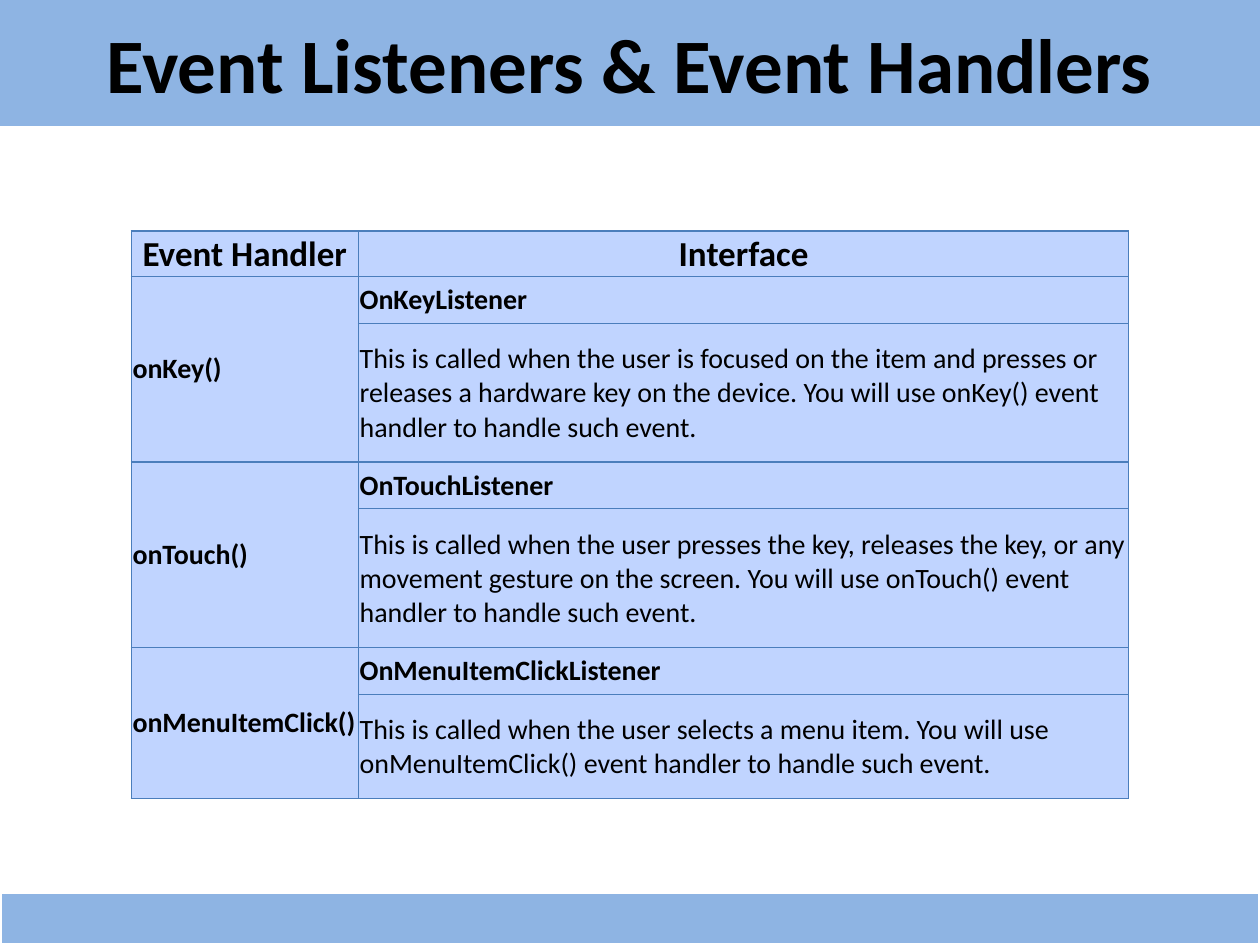
import pptx
import pptx.dml.color
import pptx.enum.shapes
import pptx.enum.text
import pptx.oxml
import pptx.oxml.ns
import pptx.util

Pt = pptx.util.Pt
ALIGN = pptx.enum.text.PP_ALIGN
MIDDLE = pptx.enum.text.MSO_ANCHOR.MIDDLE
BAND_COLOR = "8EB4E3"
CELL_COLOR = "C0D4FF"
BORDER_COLOR = "4B7EBC"


def color(hex_string):
    return pptx.dml.color.RGBColor.from_string(hex_string)


def write_text(text_frame, text, size=16, bold=False, align=ALIGN.LEFT):
    text_frame.word_wrap = True
    paragraph = text_frame.paragraphs[0]
    paragraph.alignment = align
    run = paragraph.add_run()
    run.text = text
    run.font.name = "Calibri"
    run.font.size = Pt(size)
    run.font.bold = bold
    run.font.color.rgb = color("000000")


presentation = pptx.Presentation()
presentation.slide_width = Pt(720)
presentation.slide_height = Pt(540)
slide = presentation.slides.add_slide(presentation.slide_layouts[6])

# Title and footer bands
bands = []
for top, height in [(0, 72), (510, 30)]:
    band = slide.shapes.add_shape(
        pptx.enum.shapes.MSO_SHAPE.RECTANGLE, 0, Pt(top), Pt(720), Pt(height))
    band.shadow.inherit = False
    band.fill.solid()
    band.fill.fore_color.rgb = color(BAND_COLOR)
    bands.append(band)
title, footer = bands
title.line.fill.background()
title.text_frame.vertical_anchor = MIDDLE
write_text(title.text_frame, "Event Listeners & Event Handlers",
           size=44, bold=True, align=ALIGN.CENTER)
footer.line.color.rgb = color("FFFFFF")
footer.line.width = Pt(2)

# Each handler spans two rows: its listener and the description
handlers = [
    ("onKey()", "OnKeyListener",
     "This is called when the user is focused on the item and presses or releases "
     "a hardware key on the device. You will use onKey() event handler to handle such event."),
    ("onTouch()", "OnTouchListener",
     "This is called when the user presses the key, releases the key, or any movement "
     "gesture on the screen. You will use onTouch() event handler to handle such event."),
    ("onMenuItemClick()", "OnMenuItemClickListener",
     "This is called when the user selects a menu item. You will use onMenuItemClick() "
     "event handler to handle such event."),
]
column_widths = [129.8, 440.2]
row_heights = [26, 26.4, 79.2, 26.4, 79.2, 26.4, 59.6]
table = slide.shapes.add_table(
    len(row_heights), len(column_widths), Pt(75), Pt(132),
    Pt(sum(column_widths)), Pt(sum(row_heights))).table
for column, width in zip(table.columns, column_widths):
    column.width = Pt(width)
for row, height in zip(table.rows, row_heights):
    row.height = Pt(height)

for cell in table.iter_cells():
    cell.vertical_anchor = MIDDLE
    cell.margin_left = cell.margin_right = cell.margin_top = Pt(0.75)
    cell.margin_bottom = 0
    properties = cell._tc.get_or_add_tcPr()
    for side in ("lnL", "lnR", "lnT", "lnB"):
        properties.append(pptx.oxml.parse_xml(
            f'<a:{side} {pptx.oxml.ns.nsdecls("a")} w="{Pt(0.75)}"><a:solidFill>'
            f'<a:srgbClr val="{BORDER_COLOR}"/></a:solidFill></a:{side}>'))
    cell.fill.solid()
    cell.fill.fore_color.rgb = color(CELL_COLOR)

for column_index, heading in enumerate(["Event Handler", "Interface"]):
    write_text(table.cell(0, column_index).text_frame, heading,
               size=20, bold=True, align=ALIGN.CENTER)

for index, (handler, listener, description) in enumerate(handlers):
    row_index = 1 + 2 * index
    handler_cell = table.cell(row_index, 0)
    listener_cell = table.cell(row_index, 1)
    handler_cell.merge(table.cell(row_index + 1, 0))
    for cell, text in [(handler_cell, handler), (listener_cell, listener)]:
        cell.margin_top = cell.margin_bottom = Pt(3.6)
        write_text(cell.text_frame, text, bold=True)
    write_text(table.cell(row_index + 1, 1).text_frame, description)

presentation.save("out.pptx")
